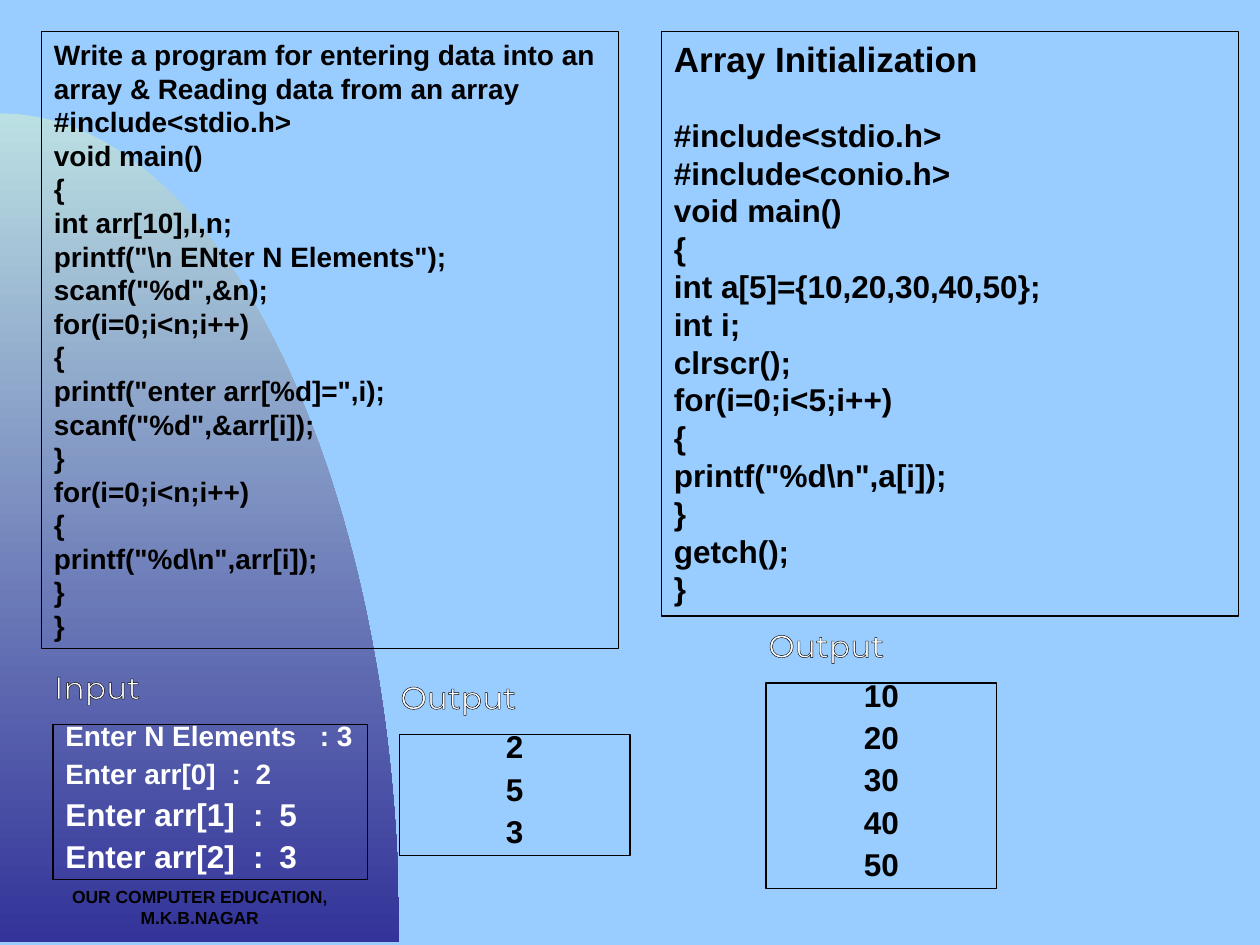
from dataclasses import dataclass

from lxml.etree import SubElement
from pptx import Presentation
from pptx.dml.color import RGBColor
from pptx.enum.shapes import MSO_SHAPE
from pptx.enum.text import MSO_ANCHOR, MSO_AUTO_SIZE as AutoSize, PP_ALIGN
from pptx.oxml import parse_xml
from pptx.oxml.ns import qn
from pptx.util import Inches, Pt


@dataclass(frozen=True)
class Theme:
    sky: RGBColor = RGBColor(0x99, 0xCC, 0xFF)
    mist: RGBColor = RGBColor(0xBB, 0xE0, 0xE3)
    indigo: RGBColor = RGBColor(0x33, 0x33, 0x99)
    black: RGBColor = RGBColor(0, 0, 0)
    white: RGBColor = RGBColor(0xFF, 0xFF, 0xFF)
    body: str = "Arial"
    label: str = "Montserrat"
    footer: int = 10
    small: int = 16
    medium: int = 18
    large: int = 20
    rule: float = 0.75


theme = Theme()
left = PP_ALIGN.LEFT
center = PP_ALIGN.CENTER

deck = Presentation()
deck.slide_width = Inches(10)
deck.slide_height = Inches(7.5)
page = deck.slides.add_slide(deck.slide_layouts[6])
page.background.fill.solid()
page.background.fill.fore_color.rgb = theme.sky


def add_panel(place, lines, color, align=left, spacing=None):
    box = page.shapes.add_shape(MSO_SHAPE.RECTANGLE, *map(Inches, place))
    box.shadow.inherit = False
    box.fill.background()
    box.line.color.rgb = theme.black
    box.line.width = Pt(theme.rule)
    frame = box.text_frame
    frame.word_wrap = True
    frame.auto_size = AutoSize.SHAPE_TO_FIT_TEXT
    frame.vertical_anchor = MSO_ANCHOR.TOP
    for index, (text, size, before, stops) in enumerate(lines):
        para = frame.paragraphs[0] if index == 0 else frame.add_paragraph()
        para.text = text
        para.alignment = align
        para.space_before = Pt(before if index else 0)
        if spacing:
            para.line_spacing = spacing
        if stops:
            tabs = SubElement(para._p.get_or_add_pPr(), qn("a:tabLst"))
            for stop in stops:
                SubElement(tabs, qn("a:tab"), pos=str(Inches(stop)), algn="l")
        para.font.name = theme.body
        para.font.size = Pt(size)
        para.font.bold = True
        para.font.color.rgb = color


start, bend_1, bend_2, end = (0, 0.9), (1.75, 0.9), (3.17, 3.85), (3.17, 7.48)
steps = 80
curve = []
for step in range(steps + 1):
    t = step / steps
    weights = ((1 - t) ** 3, 3 * t * (1 - t) ** 2, 3 * t * t * (1 - t), t ** 3)
    curve.append(tuple(
        Inches(sum(w * p[axis] for w, p in zip(weights, (start, bend_1, bend_2, end))))
        for axis in (0, 1)
    ))
builder = page.shapes.build_freeform(*curve[0])
builder.add_line_segments(curve[1:] + [(0, Inches(7.48))], close=True)
arc = builder.convert_to_shape()
arc.shadow.inherit = False
arc.line.fill.background()
arc.fill.gradient()
arc.fill.gradient_angle = 270
for stop, color, position in zip(arc.fill.gradient_stops, (theme.mist, theme.indigo), (0, 1)):
    stop.color.rgb = color
    stop.position = position

footer = page.shapes.add_textbox(Inches(0), Inches(6.98), Inches(3.17), Inches(0.52))
footer.text_frame.word_wrap = True
para = footer.text_frame.paragraphs[0]
para.text = "OUR COMPUTER EDUCATION, M.K.B.NAGAR"
para.alignment = center
para.font.name = theme.body
para.font.size = Pt(theme.footer)
para.font.bold = True
para.font.color.rgb = theme.black

reading_program = r'''Write a program for entering data into an array & Reading data from an array
#include<stdio.h>
void main()
{
int arr[10],I,n;
printf("\n ENter N Elements");
scanf("%d",&n);
for(i=0;i<n;i++)
{
printf("enter arr[%d]=",i);
scanf("%d",&arr[i]);
}
for(i=0;i<n;i++)
{
printf("%d\n",arr[i]);
}
}'''
initial_program = r'''#include<stdio.h>
#include<conio.h>
void main()
{
int a[5]={10,20,30,40,50};
int i;
clrscr();
for(i=0;i<5;i++)
{
printf("%d\n",a[i]);
}
getch();
}'''

add_panel(
    (0.33, 0.25, 4.58, 4.9),
    [(line, theme.small, 0, ()) for line in reading_program.splitlines()],
    theme.black,
)
add_panel(
    (5.25, 0.25, 4.58, 4.64),
    [("Array Initialization", theme.large, 0, ())]
    + [(line, theme.medium, 0 if index else 20.7, ())
       for index, line in enumerate(initial_program.splitlines())],
    theme.black,
)
add_panel(
    (0.42, 5.75, 2.5, 1.23),
    [
        ("Enter N Elements\t: 3", theme.small, 0, (2.02,)),
        ("Enter arr[0]\t:\t2", theme.small, 10, (1.32, 1.51)),
        ("Enter arr[1]\t:\t5", theme.medium, 11.2, (1.49, 1.7)),
        ("Enter arr[2]\t:\t3", theme.medium, 11.2, (1.49, 1.7)),
    ],
    theme.white,
    spacing=0.6,
)
for place, values in (
    ((3.17, 5.83, 1.83, 0.96), (2, 5, 3)),
    ((6.08, 5.42, 1.83, 1.63), (10, 20, 30, 40, 50)),
):
    lines = [(str(value), theme.medium, 11.2, ()) for value in values]
    add_panel(place, lines, theme.black, center, 0.6)

for text, x, y in (("Input", 0.33, 5.25), ("Output", 3.08, 5.33), ("Output", 6, 4.92)):
    label = page.shapes.add_textbox(Inches(x), Inches(y), Inches(1.42), Inches(0.33))
    label.text_frame.word_wrap = False
    span = label.text_frame.paragraphs[0].add_run()
    span.text = text
    span.font.name = theme.label
    span.font.size = Pt(theme.medium)
    span.font.color.rgb = theme.white
    outline = parse_xml(
        '<a:ln xmlns:a="http://schemas.openxmlformats.org/drawingml/2006/main" '
        f'w="{Pt(theme.rule)}"><a:solidFill><a:srgbClr val="{theme.black}"/>'
        '</a:solidFill></a:ln>'
    )
    span.font._element.insert(0, outline) if hasattr(span.font, "_element") else span._r.get_or_add_rPr().insert(0, outline)

deck.save("out.pptx")
